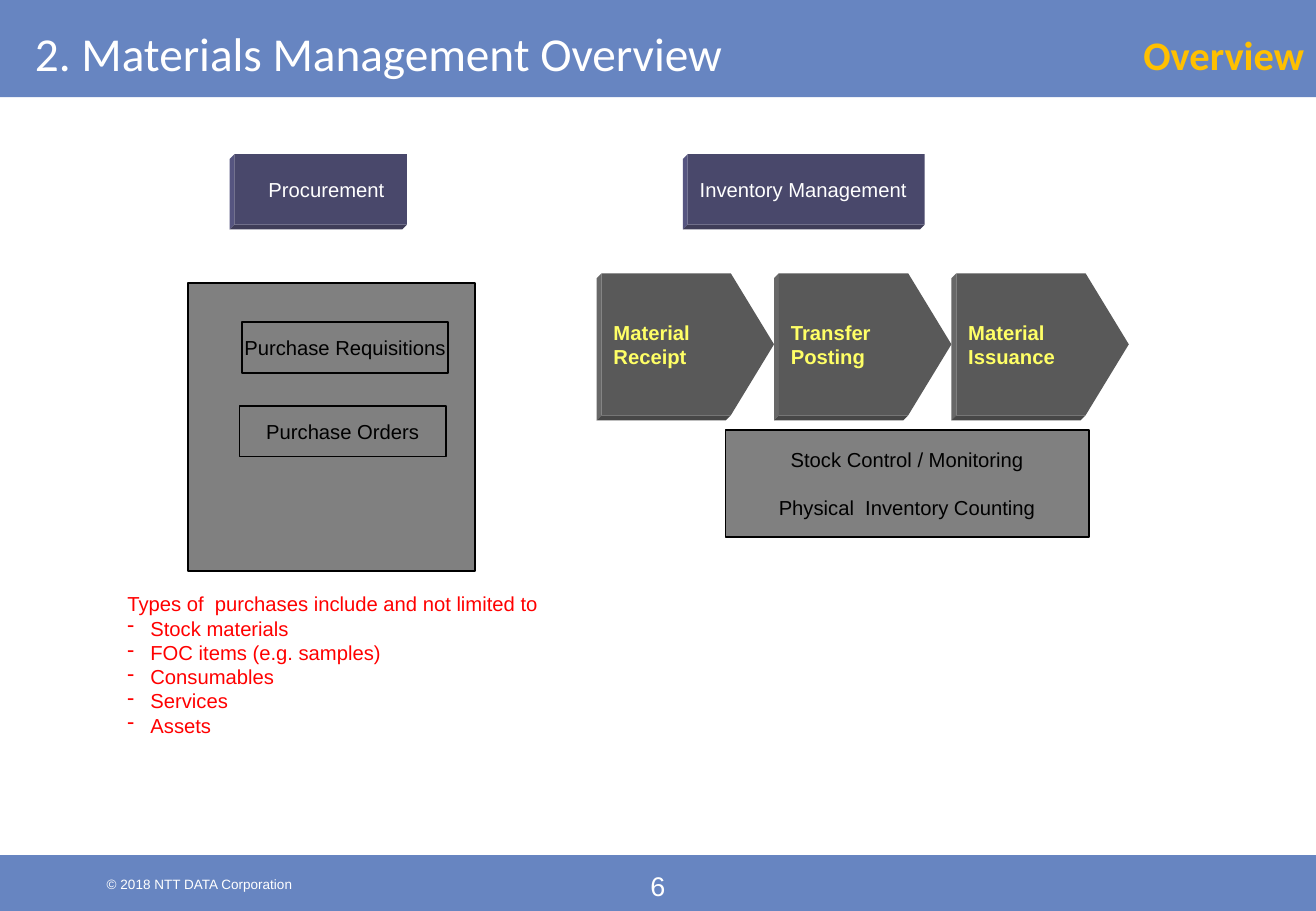
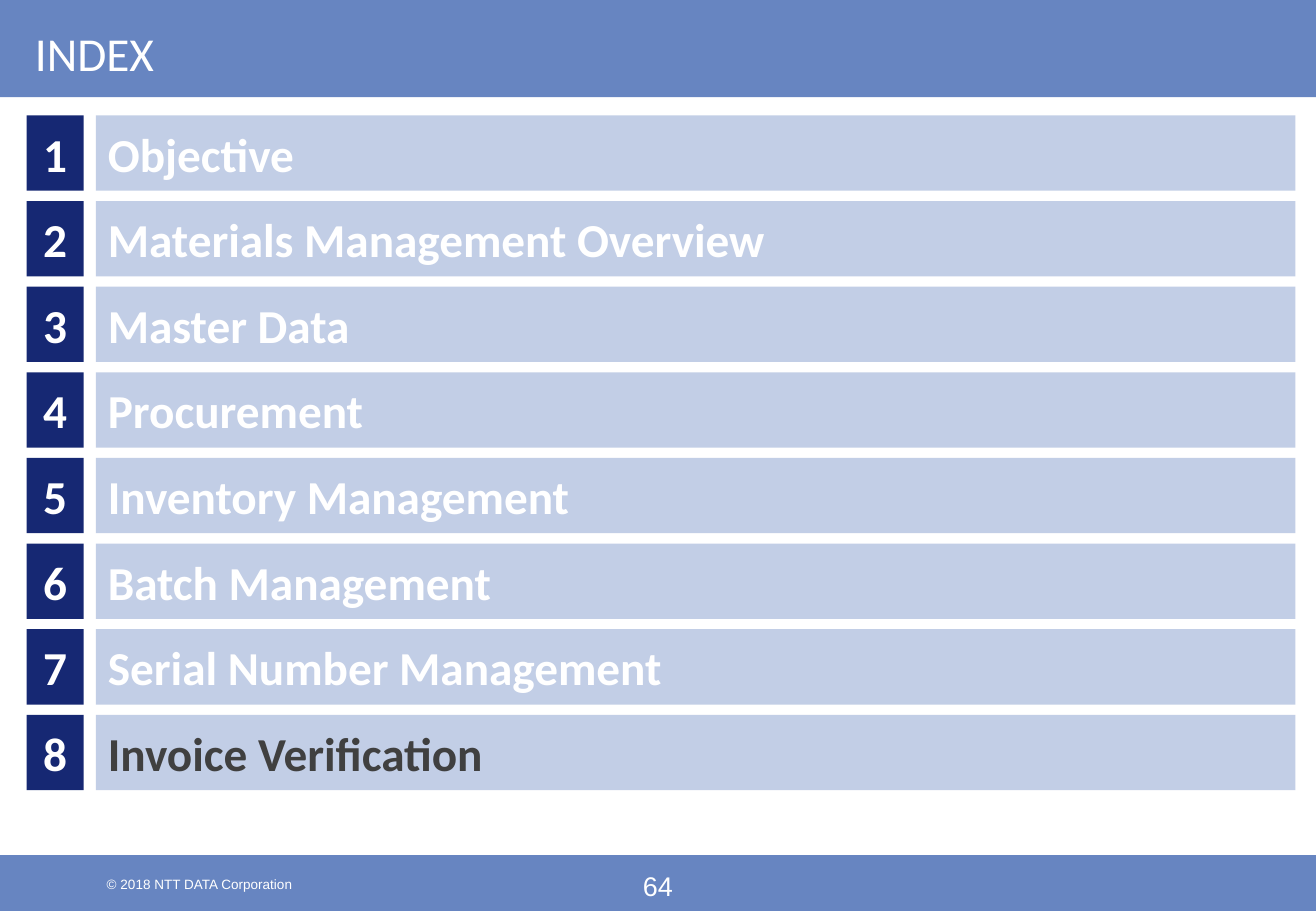
from lxml import etree
from pptx import Presentation
from pptx.dml.color import RGBColor
from pptx.enum.shapes import MSO_SHAPE
from pptx.enum.text import MSO_ANCHOR, PP_ALIGN
from pptx.oxml.ns import qn
from pptx.util import Inches, Pt

WIDE, HIGH = Inches(10.83), Inches(7.5)
BLANK = 6

RECT, PLATE = MSO_SHAPE.RECTANGLE, MSO_SHAPE.PENTAGON
TOP, MIDDLE = MSO_ANCHOR.TOP, MSO_ANCHOR.MIDDLE
LEFT, CENTER, RIGHT = PP_ALIGN.LEFT, PP_ALIGN.CENTER, PP_ALIGN.RIGHT

WHITE = RGBColor(0xFF, 0xFF, 0xFF)
BLACK = RGBColor(0x00, 0x00, 0x00)
BLUE = RGBColor(0x67, 0x85, 0xC1)
PALE = RGBColor(0xC2, 0xCE, 0xE6)
NAVY = RGBColor(0x16, 0x28, 0x73)
DARK = RGBColor(0x40, 0x40, 0x40)
GRAY = RGBColor(0x80, 0x80, 0x80)
RED = RGBColor(0xFF, 0x00, 0x00)
GOLD = RGBColor(0xFF, 0xC0, 0x00)
YELLOW = RGBColor(0xFF, 0xFF, 0x66)

# Front, left side and bottom side of a raised block
PURPLES = (RGBColor(0x49, 0x48, 0x6B), RGBColor(0x56, 0x55, 0x80),
           RGBColor(0x3F, 0x3D, 0x58))
GRAYS = (RGBColor(0x59, 0x59, 0x59), RGBColor(0x68, 0x68, 0x68),
         RGBColor(0x47, 0x47, 0x47))
DEPTH = Inches(0.04)
POINT = 0.304


def style(size, color, bold=False, name="Arial"):
    return {"name": name, "size": Pt(size), "bold": bold, "color": color}


HEAD = style(28, WHITE, name="Calibri")
TOPIC = style(24, GOLD, True, "Calibri")
INDEX = style(28, WHITE, True, "Calibri")
ACTIVE = style(28, DARK, True, "Calibri")
SMALL = style(8, WHITE)
PAGE = style(16, WHITE)
BODY = style(12, BLACK)
LIGHT = style(12, WHITE)
STEP = style(12, YELLOW, True)
NOTE = style(12, RED)


def place(left, top, width, height):
    """Turn percentages of the slide into lengths."""
    return [round(share * side / 100) for share, side in
            ((left, WIDE), (top, HIGH), (width, WIDE), (height, HIGH))]


def paint(shape, fill, line=None):
    shape.shadow.inherit = False
    shape.fill.solid()
    shape.fill.fore_color.rgb = fill
    if line is None:
        shape.line.fill.background()
    else:
        shape.line.color.rgb = line
        shape.line.width = Pt(1)


def block(slide, box, fill, line=None, kind=RECT):
    shape = slide.shapes.add_shape(kind, *place(*box))
    paint(shape, fill, line)
    return shape


def dash(para):
    props = para._p.get_or_add_pPr()
    props.set("marL", str(Inches(0.19)))
    props.set("indent", str(-Inches(0.19)))
    etree.SubElement(props, qn("a:buChar")).set("char", "-")


def write(shape, lines, font, align=LEFT, anchor=MIDDLE,
          pads=(0.1, 0.05, 0.1, 0.05), gap=0, dashed=False):
    """Fill a shape; pads are left, top, right and bottom in inches."""
    frame = shape.text_frame
    frame.word_wrap, frame.vertical_anchor = True, anchor
    for side, pad in zip(("left", "top", "right", "bottom"), pads):
        setattr(frame, "margin_" + side, Inches(pad))
    for i, line in enumerate(lines):
        para = frame.add_paragraph() if i else frame.paragraphs[0]
        para.alignment = align
        if i and gap:
            para.space_before = Pt(gap)
        if i and dashed:
            dash(para)
        run = para.add_run()
        run.text = line
        for key, value in font.items():
            if key == "color":
                run.font.color.rgb = value
            else:
                setattr(run.font, key, value)


def label(slide, box, lines, font, **layout):
    write(slide.shapes.add_textbox(*place(*box)), lines, font, **layout)


def panel(slide, box, lines=(), **layout):
    """Draw a grey outlined box with centred text."""
    write(block(slide, box, GRAY, BLACK), lines, BODY, align=CENTER,
          pads=(0, 0, 0, 0), **layout)


def raised(slide, box, lines, font, tones, kind=RECT, indent=0.1):
    """Draw a block whose left and bottom sides show its depth."""
    left, top, width, height = place(*box)
    low = top + height
    end = left + width - (round(POINT * height) if kind == PLATE else 0)
    back = left - DEPTH
    front, *sides = tones
    edges = (
        [(left, top), (left, low), (back, low + DEPTH), (back, top + DEPTH)],
        [(left, low), (end, low), (end - DEPTH, low + DEPTH),
         (back, low + DEPTH)],
    )
    for edge, tone in zip(edges, sides):
        form = slide.shapes.build_freeform(*edge[0])
        form.add_line_segments(edge[1:])
        paint(form.convert_to_shape(), tone)
    shape = block(slide, box, front, kind=kind)
    if kind == PLATE:
        shape.adjustments[0] = POINT
    write(shape, lines, font, pads=(indent, 0, 0, 0))


def base(deck, title, page):
    """Add a slide with its bands, title and footer."""
    slide = deck.slides.add_slide(deck.slide_layouts[BLANK])
    block(slide, (0, 93.87, 100, 6.13), BLUE)
    block(slide, (0, 0, 100, 10.67), BLUE)
    flat = {"anchor": TOP, "pads": (0.1, 0, 0.1, 0)}
    label(slide, (7.2, 96.13, 31.76, 1.73),
          ["© 2018 NTT DATA Corporation"], SMALL, **flat)
    label(slide, (46.63, 95.47, 6.74, 3.6), [page], PAGE,
          align=CENTER, **flat)
    label(slide, (1.75, 0, 96.68, 10.53), [title], HEAD,
          pads=(0.1, 0.12, 0.1, 0.05))
    return slide


def overview(deck):
    slide = base(deck, "2. Materials Management Overview", "6")
    label(slide, (62.42, 0.27, 37.58, 10.53), ["Overview"], TOPIC,
          align=RIGHT, pads=(0.1, 0.12, 0.1, 0.05))

    raised(slide, (17.82, 16.93, 13.11, 7.73), ["Procurement"], LIGHT,
           PURPLES, indent=0.28)
    raised(slide, (52.26, 16.93, 18.01, 7.73), ["Inventory Management"],
           LIGHT, PURPLES)

    panel(slide, (14.31, 31.07, 21.79, 31.6))
    panel(slide, (18.37, 35.33, 15.7, 5.6), ["Purchase Requisitions"])
    panel(slide, (18.19, 44.53, 15.7, 5.6), ["Purchase Orders"])
    panel(slide, (55.12, 47.2, 27.61, 11.73),
          ["Stock Control / Monitoring", "Physical  Inventory Counting"],
          gap=14)

    steps = (("Material", "Receipt"), ("Transfer", "Posting"),
             ("Material", "Issuance"))
    for i, lines in enumerate(steps):
        raised(slide, (45.71 + 13.48 * i, 30, 13.11, 15.6), lines, STEP,
               GRAYS, PLATE)

    label(slide, (8.77, 63.47, 44.32, 21.6),
          ["Types of  purchases include and not limited to",
           "Stock materials", "FOC items (e.g. samples)", "Consumables",
           "Services", "Assets"],
          NOTE, anchor=TOP, pads=(0.1, 0.11, 0.1, 0), dashed=True)


def index(deck):
    slide = base(deck, "INDEX", "64")
    topics = ("Objective", "Materials Management Overview", "Master Data",
              "Procurement", "Inventory Management", "Batch Management",
              "Serial Number Management", "Invoice Verification")
    for i, topic in enumerate(topics):
        top = 12.67 + 9.4 * i
        write(block(slide, (2.03, top, 4.34, 8.27), NAVY), [str(i + 1)],
              INDEX, align=CENTER)
        write(block(slide, (7.29, top, 91.14, 8.27), PALE), [topic],
              ACTIVE if topic == topics[-1] else INDEX)


def main():
    deck = Presentation()
    deck.slide_width, deck.slide_height = WIDE, HIGH
    overview(deck)
    index(deck)
    deck.save("out.pptx")


if __name__ == "__main__":
    main()
